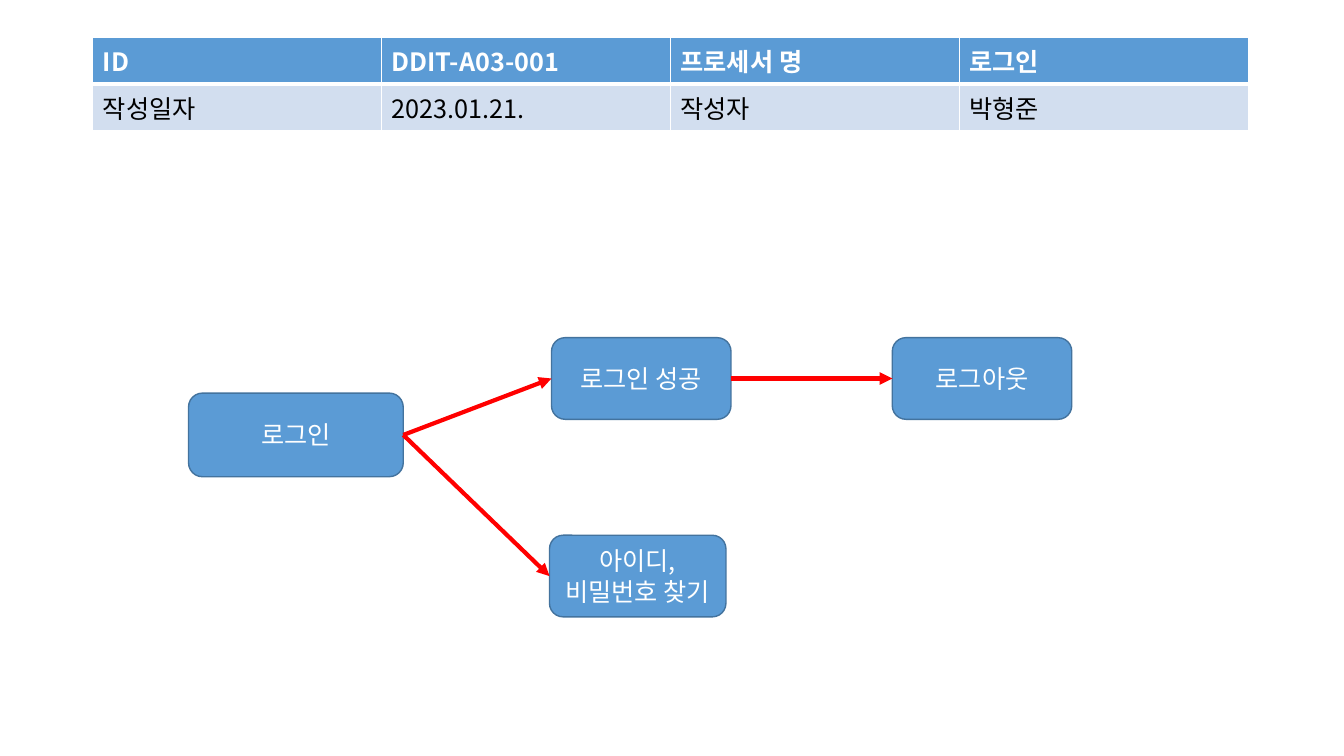
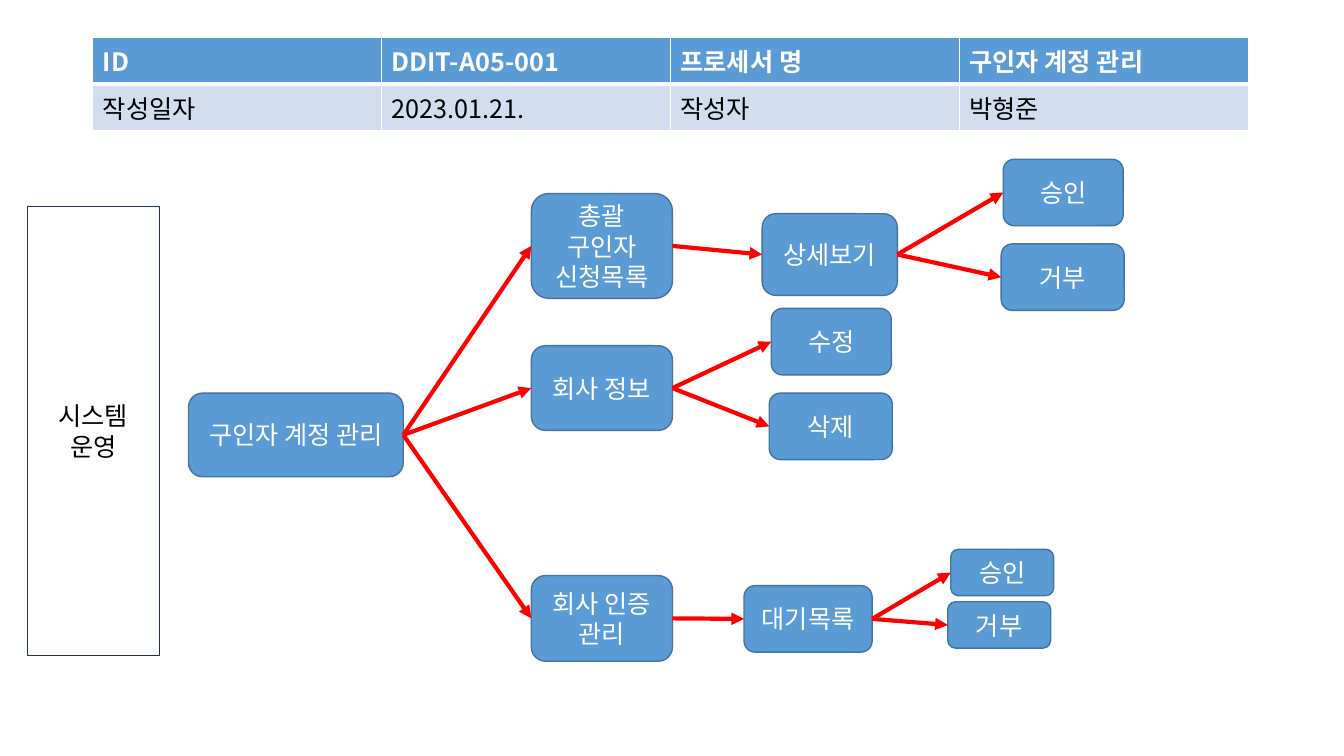
from pptx import Presentation
from pptx.dml.color import RGBColor
from pptx.enum.shapes import MSO_CONNECTOR, MSO_SHAPE
from pptx.enum.text import MSO_ANCHOR, PP_ALIGN
from pptx.oxml.ns import qn
from pptx.util import Inches, Pt
from lxml import etree

BLUE = RGBColor(0x5B, 0x9B, 0xD5)
PALE = RGBColor(0xD2, 0xDE, 0xEF)
EDGE = RGBColor(0x43, 0x73, 0x9E)
NAVY = RGBColor(0x1C, 0x33, 0x5D)
RED = RGBColor(0xFF, 0x00, 0x00)
WHITE = RGBColor(0xFF, 0xFF, 0xFF)
BLACK = RGBColor(0x00, 0x00, 0x00)
FONT = "Noto Sans CJK KR"
ROUND, RECT = MSO_SHAPE.ROUNDED_RECTANGLE, MSO_SHAPE.RECTANGLE
STRAIGHT = MSO_CONNECTOR.STRAIGHT
LEFT, CENTER = PP_ALIGN.LEFT, PP_ALIGN.CENTER
MIDDLE = MSO_ANCHOR.MIDDLE
LEFT_SIDE, RIGHT_SIDE = 1, 3


def write(frame, text, color=WHITE, bold=False, align=CENTER, size=18):
    frame.text = text
    frame.word_wrap = True
    for par in frame.paragraphs:
        par.alignment = align
        for run in par.runs:
            font = run.font
            font.name, font.size, font.bold = FONT, Pt(size), bold
            font.color.rgb = color
            east = etree.SubElement(run._r.get_or_add_rPr(), qn("a:ea"))
            east.set("typeface", FONT)


class Deck:
    """Holds the shared style and the slide being drawn."""

    def __init__(self):
        self.prs = Presentation()
        self.prs.slide_width = Inches(13.33)
        self.prs.slide_height = Inches(7.5)
        self.slide = None

    def page(self, code, name):
        self.slide = self.prs.slides.add_slide(self.prs.slide_layouts[6])
        self.table([["ID", code, "프로세서 명", name],
                    ["작성일자", "2023.01.21.", "작성자", "박형준"]])

    def table(self, rows):
        grid = self.slide.shapes.add_table(
            len(rows), len(rows[0]), Inches(0.92), Inches(0.37),
            Inches(11.46), Inches(0.84)).table
        for row, line in enumerate(rows):
            head = row == 0
            for col, text in enumerate(line):
                cell = grid.cell(row, col)
                for side in "LRTB":
                    self.border(cell, side, 3 if head and side == "B" else 1)
                cell.fill.solid()
                cell.fill.fore_color.rgb = BLUE if head else PALE
                write(cell.text_frame, text, color=WHITE if head else BLACK,
                      bold=head, align=LEFT)

    def border(self, cell, side, width):
        line = etree.SubElement(cell._tc.get_or_add_tcPr(), qn("a:ln" + side))
        line.set("w", str(Pt(width)))
        fill = etree.SubElement(line, qn("a:solidFill"))
        etree.SubElement(fill, qn("a:srgbClr")).set("val", str(WHITE))

    def box(self, text, left, top, width, height, source=None, kind=ROUND,
            fill=BLUE, edge=EDGE, weight=1, color=WHITE):
        box = self.slide.shapes.add_shape(
            kind, Inches(left), Inches(top), Inches(width), Inches(height))
        box.shadow.inherit = False
        box.fill.solid()
        box.fill.fore_color.rgb = fill
        box.line.color.rgb = edge
        box.line.width = Pt(weight)
        box.text_frame.vertical_anchor = MIDDLE
        write(box.text_frame, text, color=color)
        if source is not None:
            self.arrow(source, box)
        return box

    def arrow(self, start, end):
        link = self.slide.shapes.add_connector(STRAIGHT, 0, 0, 0, 0)
        link.begin_connect(start, RIGHT_SIDE)
        link.end_connect(end, LEFT_SIDE)
        link.line.color.rgb = RED
        link.line.width = Pt(3)
        tail = etree.SubElement(link.line._get_or_add_ln(), qn("a:tailEnd"))
        tail.set("type", "triangle")
        etree.SubElement(link._element.spPr, qn("a:effectLst"))

    def root(self, text):
        return self.box(text, 1.87, 3.9, 2.13, 0.83)


def login(deck):
    deck.page("DDIT-A03-001", "로그인")
    root = deck.root("로그인")
    deck.box("아이디,비밀번호 찾기", 5.45, 5.31, 1.75, 0.81, root)
    done = deck.box("로그인 성공", 5.47, 3.35, 1.78, 0.81, root)
    deck.box("로그아웃", 8.85, 3.35, 1.78, 0.81, done)


def account(deck):
    deck.page("DDIT-A05-001", "구인자 계정 관리")
    deck.box("시스템\n운영", 0.27, 2.05, 1.31, 4.45, kind=RECT,
             fill=WHITE, edge=NAVY, weight=0, color=BLACK)
    root = deck.root("구인자 계정 관리")

    bids = deck.box("총괄 구인자 신청목록", 5.27, 1.92, 1.4, 1.04, root)
    firm = deck.box("회사 정보", 5.27, 3.43, 1.4, 0.84, root)
    proof = deck.box("회사 인증 관리", 5.27, 5.71, 1.4, 0.85, root)

    detail = deck.box("상세보기", 7.56, 2.12, 1.34, 0.81, bids)
    queue = deck.box("대기목록", 7.38, 5.81, 1.27, 0.66, proof)

    for source, left, top, names in (
            (detail, 9.93, 1.58, ("승인", "거부")),
            (firm, 7.63, 3.06, ("수정", "삭제"))):
        deck.box(names[0], left + 0.02, top, 1.19, 0.66, source)
        deck.box(names[1], left, top + 0.84, 1.22, 0.66, source)
    deck.box("승인", 9.43, 5.45, 1.02, 0.46, queue)
    deck.box("거부", 9.4, 5.97, 1.02, 0.46, queue)


def main():
    deck = Deck()
    login(deck)
    account(deck)
    deck.prs.save("out.pptx")


if __name__ == "__main__":
    main()
